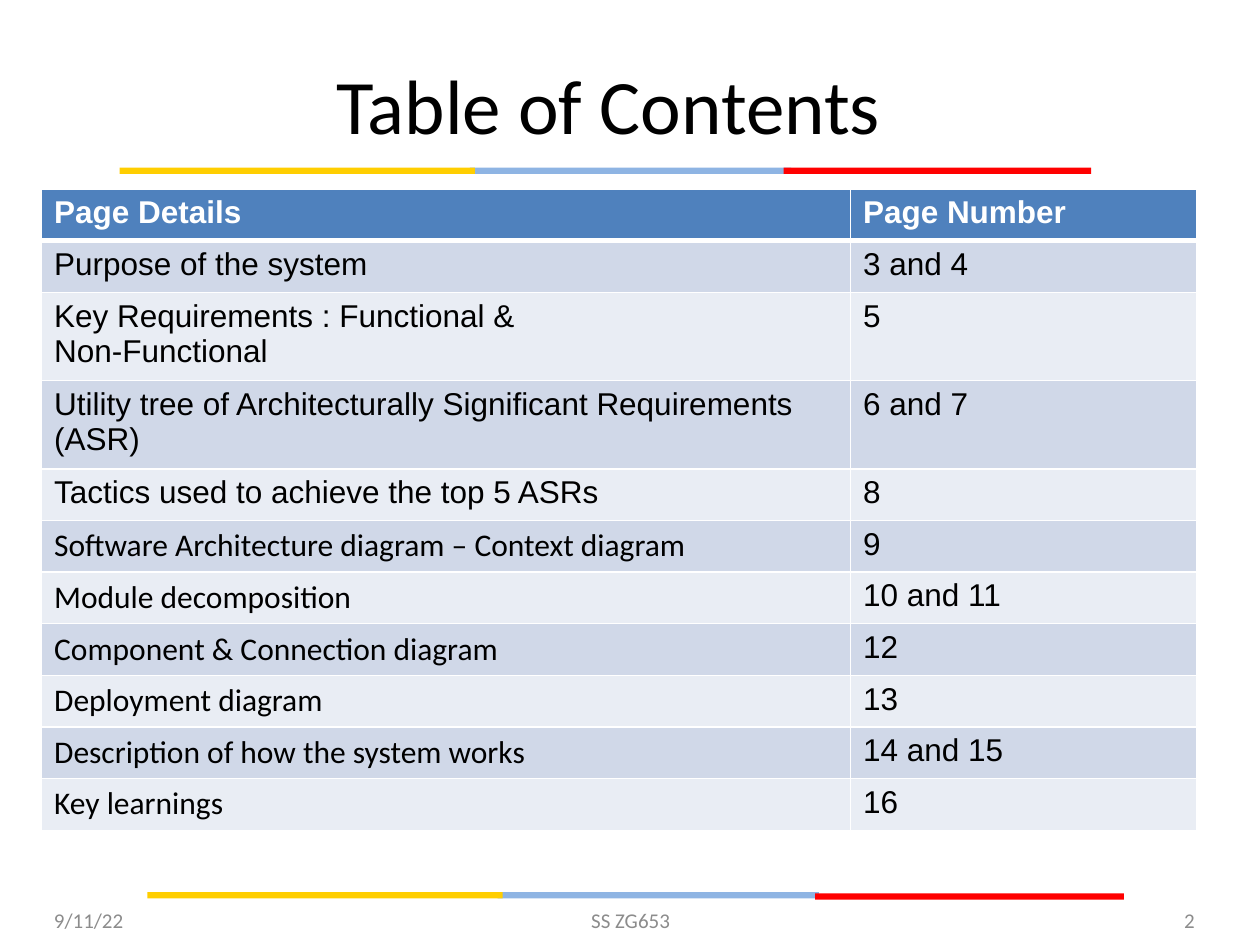
"""Build a table of contents slide with coloured bands and a footer."""
import lxml.etree
import pptx
import pptx.dml.color
import pptx.enum.shapes
import pptx.enum.text
import pptx.oxml.ns
import pptx.util

Inches = pptx.util.Inches
Align = pptx.enum.text.PP_ALIGN
qn = pptx.oxml.ns.qn


def paint(color_format, color):
    color_format.rgb = pptx.dml.color.RGBColor.from_string(color)


def write(frame, text, color, align=Align.LEFT, **font_values):
    paragraph = frame.paragraphs[0]
    paragraph.text = text
    paragraph.alignment = align
    for run in paragraph.runs:
        for name, value in font_values.items():
            setattr(run.font, name, value)
        paint(run.font.color, color)


presentation = pptx.Presentation()
presentation.slide_width = Inches(10)
presentation.slide_height = Inches(7.5)
slide = presentation.slides.add_slide(presentation.slide_layouts[6])

bands = [
    ("8EB4E3", 3.73, 1.33, 2.55),
    ("FF0000", 6.22, 1.33, 2.44),
    ("FFCE00", 0.95, 1.33, 2.82),
    ("8EB4E3", 3.95, 7.08, 2.55),
    ("FF0000", 6.47, 7.09, 2.45),
    ("FFCE00", 1.17, 7.08, 2.82),
]
for color, left, top, width in bands:
    band = slide.shapes.add_shape(
        pptx.enum.shapes.MSO_SHAPE.RECTANGLE,
        Inches(left), Inches(top), Inches(width), Inches(0.05))
    band.shadow.inherit = False
    band.fill.solid()
    paint(band.fill.fore_color, color)
    band.line.fill.background()

labels = [
    ("Table of Contents", 0.33, 0.31, 9, 1.03, 44, "000000", Align.CENTER),
    ("9/11/22", 0.33, 7.1, 2.33, 0.4, 12, "8C8C8C", Align.LEFT),
    ("SS ZG653", 3.42, 7.1, 3.17, 0.4, 12, "8C8C8C", Align.CENTER),
    ("2", 7.25, 7.1, 2.33, 0.4, 12, "8C8C8C", Align.RIGHT),
]
for text, left, top, width, height, size, color, align in labels:
    label = slide.shapes.add_textbox(
        Inches(left), Inches(top), Inches(width), Inches(height))
    label.text_frame.word_wrap = True
    label.text_frame.vertical_anchor = pptx.enum.text.MSO_ANCHOR.MIDDLE
    write(label.text_frame, text, color, align,
          name="Calibri", size=pptx.util.Pt(size))

contents = [
    ("Page Details", "Page Number", "Arial"),
    ("Purpose of the system", "3 and 4", "Arial"),
    ("Key Requirements : Functional &\nNon-Functional", "5", "Arial"),
    ("Utility tree of Architecturally Significant Requirements (ASR)",
     "6 and 7", "Arial"),
    ("Tactics used to achieve the top 5 ASRs", "8", "Arial"),
    ("Software Architecture diagram – Context diagram", "9", "Calibri"),
    ("Module decomposition", "10 and 11", "Calibri"),
    ("Component & Connection diagram", "12", "Calibri"),
    ("Deployment diagram", "13", "Calibri"),
    ("Description of how the system works", "14 and 15", "Calibri"),
    ("Key learnings", "16", "Calibri"),
]
row_height = Inches(0.41)
table = slide.shapes.add_table(
    len(contents), 2, Inches(0.33), Inches(1.5),
    Inches(9.17), row_height * len(contents)).table
for column, width in zip(table.columns, (6.42, 2.75)):
    column.width = Inches(width)

for row_index, (details, pages, details_font) in enumerate(contents):
    table.rows[row_index].height = row_height
    header = row_index == 0
    fill = "4F81BD" if header else ("E9EDF4", "D0D8E8")[row_index % 2]
    border_widths = {
        "a:lnL": 1,
        "a:lnR": 1,
        "a:lnT": 3 if row_index == 1 else 1,
        "a:lnB": 3 if header else 1,
    }
    for column_index, (text, font) in enumerate(
            [(details, details_font), (pages, "Arial")]):
        cell = table.cell(row_index, column_index)
        properties = cell._tc.get_or_add_tcPr()
        for tag, width in border_widths.items():
            border = lxml.etree.SubElement(
                properties, qn(tag), w=str(pptx.util.Pt(width)))
            solid = lxml.etree.SubElement(border, qn("a:solidFill"))
            lxml.etree.SubElement(solid, qn("a:srgbClr"), val="FFFFFF")
        cell.fill.solid()
        paint(cell.fill.fore_color, fill)
        write(cell.text_frame, text, "FFFFFF" if header else "000000",
              name=font, size=pptx.util.Pt(18), bold=header)

presentation.save("out.pptx")
